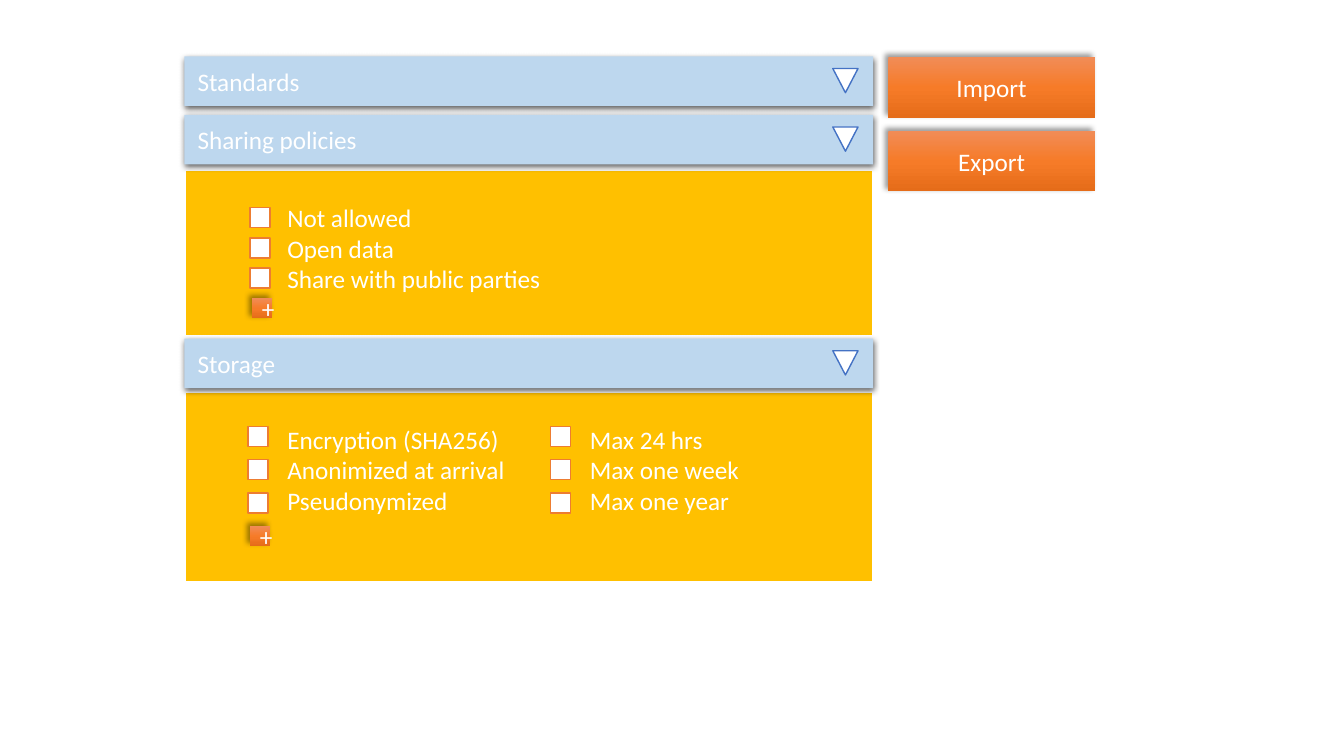
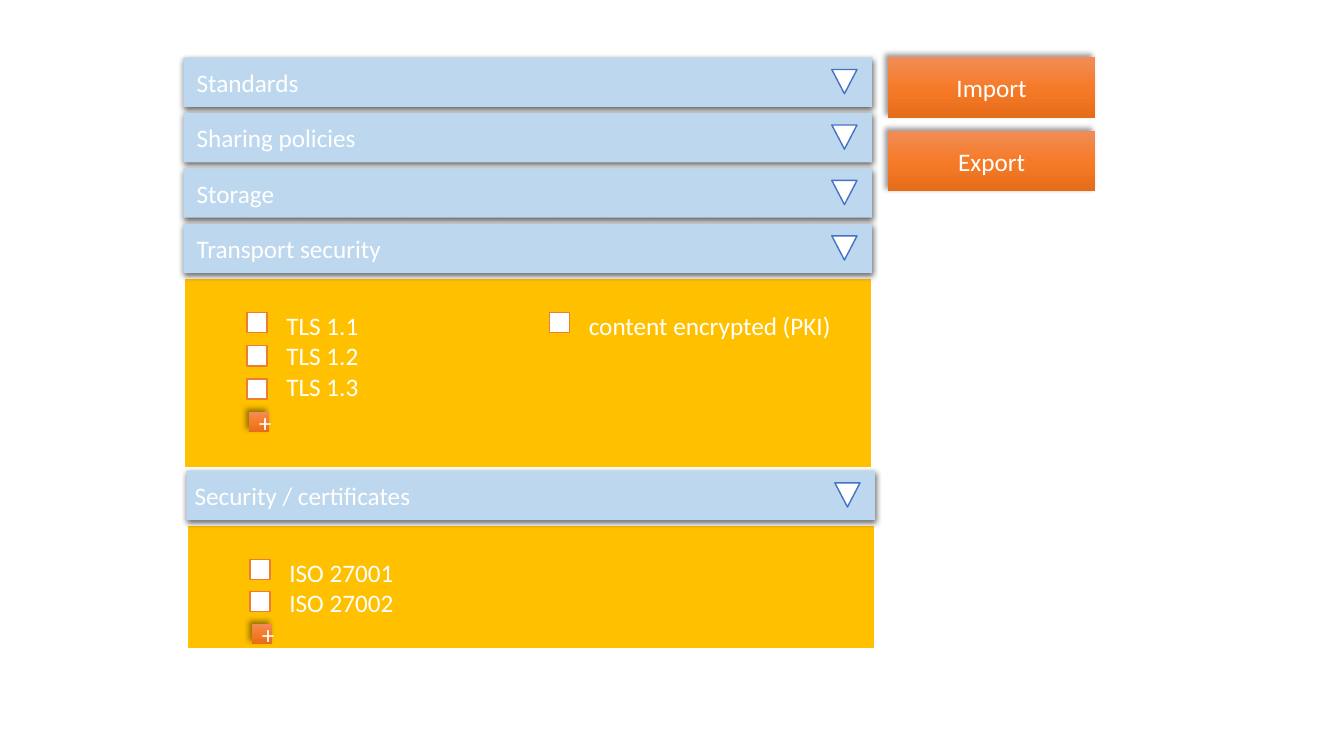
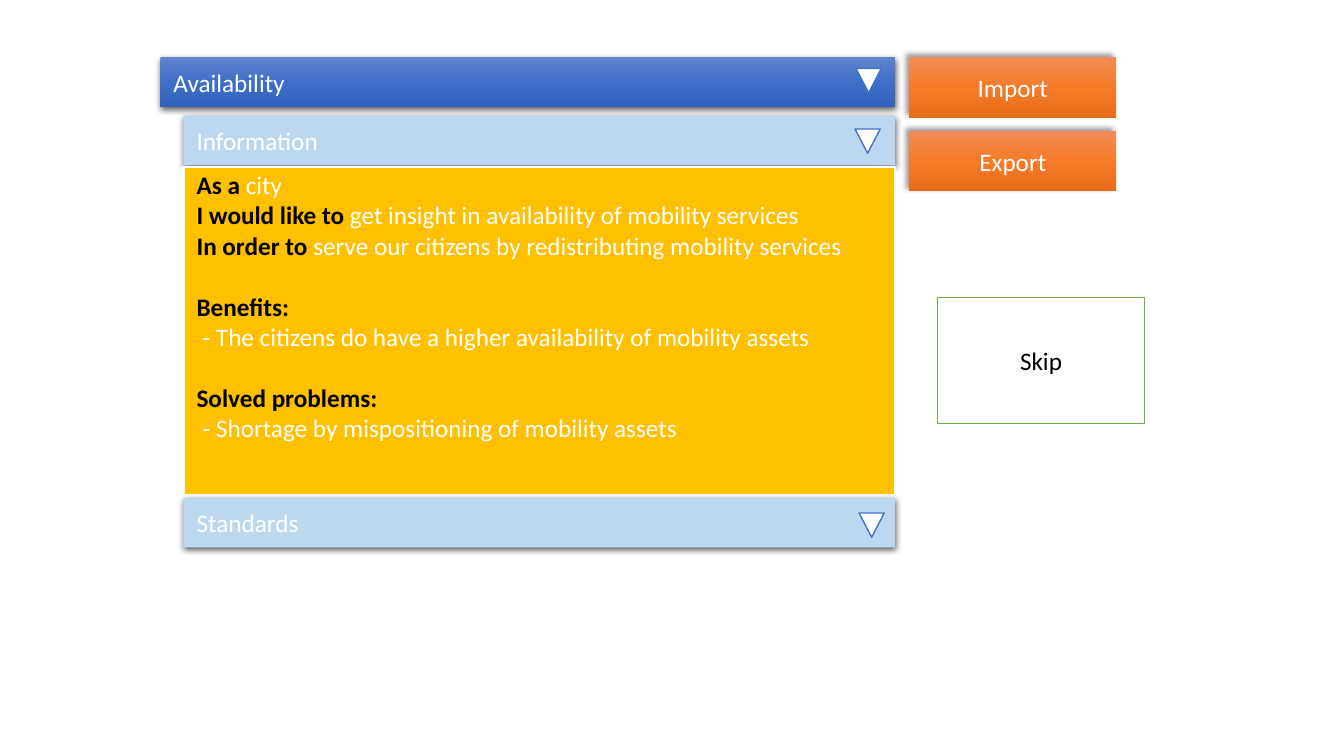
from lxml.etree import SubElement
from pptx import Presentation
from pptx.dml.color import RGBColor
from pptx.enum.shapes import MSO_SHAPE as Preset
from pptx.enum.text import MSO_ANCHOR as Anchor, PP_ALIGN as Align
from pptx.oxml.ns import qn
from pptx.util import Inches, Pt

# Shared style; the grid has cells of one inch
COLOURS = {
    "white": "FFFFFF", "black": "000000", "bar": "BDD7EE", "panel": "FFC000",
    "marker": "4472C4", "check": "ED7D31", "skip": "70AD47",
}
ORANGE = ("F18C57", "F67B28", "E56C19")
BLUE = ("6183CB", "3E70CA", "3062BB")
BUTTON_SHADOW = {"alpha": 40, "blur": 4, "dist": 3, "angle": 225}
BAR_SHADOW = {"alpha": 63, "blur": 4.5, "dist": 1.5, "angle": 90}
FONT, SIZE, LINE_HEIGHT = "Calibri", 18, 22
CELL = Inches(1)
BAR_COLS, BAR_ROWS = 6.83, 0.49
BOX = 0.2
TEXT_COL, SECOND_COL = 1, 4
INSET, LABEL_INSET = 0.02, 0.13


def rgb(name):
    return RGBColor.from_string(COLOURS[name])


def draw(slide, preset, col, row, cols, rows, fill, line=None, weight=1):
    """Place a preset shape; a tuple as fill gives a vertical gradient."""
    shape = slide.shapes.add_shape(
        preset, *(round(cells * CELL) for cells in (col, row, cols, rows)))
    shape.shadow.inherit = False
    if isinstance(fill, tuple):
        shape.fill.gradient()
        shape.fill.gradient_angle = 270
        stops = shape._element.spPr.find(qn("a:gradFill")).find(qn("a:gsLst"))
        stops.clear()
        for share, colour in zip((0, 50, 100), fill):
            stop = SubElement(stops, qn("a:gs"), pos=str(share * 1000))
            SubElement(stop, qn("a:srgbClr"), val=colour)
    else:
        shape.fill.solid()
        shape.fill.fore_color.rgb = rgb(fill)
    if line:
        shape.line.color.rgb = rgb(line)
        shape.line.width = Pt(weight)
    else:
        shape.line.fill.background()
    return shape


def cast_shadow(shape, alpha, blur, dist, angle):
    effects = shape._element.spPr.find(qn("a:effectLst"))
    shadow = SubElement(
        effects, qn("a:outerShdw"), blurRad=str(Pt(blur)), dist=str(Pt(dist)),
        dir=str(angle * 60000), algn="ctr", rotWithShape="0")
    colour = SubElement(shadow, qn("a:srgbClr"), val=COLOURS["black"])
    SubElement(colour, qn("a:alpha"), val=str(alpha * 1000))


def style(paragraph, align, colour="white"):
    paragraph.alignment = align
    for run in paragraph.runs:
        run.font.name, run.font.size = FONT, Pt(SIZE)
        run.font.color.rgb = rgb(colour)


def inset(frame, left=INSET, top=INSET):
    frame.margin_left, frame.margin_top = Inches(left), Inches(top)
    frame.margin_right = frame.margin_bottom = Inches(INSET)


def label(shape, text, align=Align.CENTER, colour="white"):
    frame = shape.text_frame
    frame.text = text
    frame.vertical_anchor = Anchor.MIDDLE
    style(frame.paragraphs[0], align, colour)


def button(slide, text, col, row, cols=2.05, rows=0.6):
    shape = draw(slide, Preset.RECTANGLE, col, row, cols, rows, ORANGE)
    cast_shadow(shape, **BUTTON_SHADOW)
    label(shape, text)


def file_buttons(slide, col):
    for text, row in (("Export", 1.3), ("Import", 0.57)):
        button(slide, text, col, row)


def bar(slide, text, col, row, cols=BAR_COLS, fill="bar",
        text_inset=LABEL_INSET, marker=(0.4, 0.12)):
    """Section heading with a fold marker near its right end."""
    heading = draw(slide, Preset.RECTANGLE, col, row, cols, BAR_ROWS, fill)
    cast_shadow(heading, **BAR_SHADOW)
    inset(heading.text_frame, left=text_inset)
    label(heading, text, Align.LEFT)
    from_right, down = marker
    fold = draw(slide, Preset.ISOSCELES_TRIANGLE, col + cols - from_right,
                row + down, 0.25, 0.24, "white", "marker")
    fold.rotation = 180


def panel(slide, col, row, cols, rows, **insets):
    body = draw(slide, Preset.RECTANGLE, col, row, cols, rows,
                "panel", "white", 1.5)
    inset(body.text_frame, **insets)
    body.text_frame.vertical_anchor = Anchor.TOP
    return body.text_frame


def set_tabs(paragraph, *stops):
    tabs = SubElement(paragraph._p.get_or_add_pPr(), qn("a:tabLst"))
    for stop in stops:
        SubElement(tabs, qn("a:tab"), pos=str(Inches(stop)), algn="l")


def option_panel(slide, col, row, rows, options,
                 box_col=0.63, first=0.34, pitch=0.33):
    """Panel of check boxes, closed by a button that adds another."""
    frame = panel(slide, col, row, BAR_COLS, rows, top=0.32)
    frame.text = "\n".join("\t" + "\t".join(names) for names in options)
    for paragraph in frame.paragraphs:
        style(paragraph, Align.LEFT)
        set_tabs(paragraph, TEXT_COL, SECOND_COL)
    left, top = col + box_col, row + first
    for line, names in enumerate(options):
        for column in range(len(names)):
            draw(slide, Preset.RECTANGLE,
                 left + column * (SECOND_COL - TEXT_COL), top + line * pitch,
                 BOX, BOX, "white", "check")
    button(slide, "+", left + 0.02, top + len(options) * pitch, BOX, BOX)


def story_panel(slide, col, row, cols, rows, story):
    """Panel of lines, each a bold lead and plain text."""
    frame = panel(slide, col, row, cols, rows, left=LABEL_INSET)
    for index, (lead, text, lines_before) in enumerate(story):
        paragraph = frame.add_paragraph() if index else frame.paragraphs[0]
        paragraph.space_before = Pt(lines_before * LINE_HEIGHT)
        if not lead:
            paragraph._p.get_or_add_pPr().set("marL", str(Inches(0.06)))
        for words in filter(None, (lead, text)):
            paragraph.add_run().text = words
        style(paragraph, Align.LEFT)
        if lead:
            paragraph.runs[0].font.bold = True
            paragraph.runs[0].font.color.rgb = rgb("black")


def sharing_and_storage(slide):
    col = 1.83
    file_buttons(slide, 8.81)
    option_panel(slide, col, 1.69, 1.64,
                 [("Not allowed",), ("Open data",),
                  ("Share with public parties",)],
                 box_col=0.65, first=0.37, pitch=0.3)
    option_panel(slide, col, 3.89, 1.88,
                 [("Encryption (SHA256)", "Max 24 hrs"),
                  ("Anonimized at arrival", "Max one week"),
                  ("Pseudonymized", "Max one year")])
    for text, row in (("Standards", 0.56), ("Sharing policies", 1.14),
                      ("Storage", 3.36)):
        bar(slide, text, col, row)


def transport_and_certificates(slide):
    col, lower_col = 1.82, 1.85
    file_buttons(slide, 8.81)
    option_panel(slide, col, 2.76, 1.88,
                 [("TLS 1.1", "content encrypted (PKI)"),
                  ("TLS 1.2",), ("TLS 1.3",)])
    headings = ("Standards", "Sharing policies", "Storage",
                "Transport security")
    for index, text in enumerate(headings):
        bar(slide, text, col, 0.57 + index * 0.55)
    option_panel(slide, lower_col, 5.21, 1.23,
                 [("ISO 27001",), ("ISO 27002",)], pitch=0.32)
    bar(slide, "Security / certificates", lower_col, 4.67, text_inset=0.08)


def availability(slide):
    col, cols = 1.82, 7.06
    bar(slide, "Availability", 1.59, 0.57, 7.29, BLUE, marker=(0.39, 0.11))
    bar(slide, "Information", col, 1.15, cols, marker=(0.4, 0.13))
    story_panel(slide, col, 1.66, cols, 3.25, [
        ("As a ", "city", 0),
        ("I would like to ",
         "get insight in availability of mobility services", 0),
        ("In order to ",
         "serve our citizens by redistributing mobility services", 0),
        ("Benefits:", "", 1),
        ("", "- The citizens do have a higher availability of mobility assets",
         0),
        ("Solved problems:", "", 1),
        ("", "- Shortage by mispositioning of mobility assets", 0),
    ])
    bar(slide, "Standards", col, 4.94, cols, marker=(0.36, 0.15))
    file_buttons(slide, 9.02)
    skip = draw(slide, Preset.RECTANGLE, 9.3, 2.95, 2.05, 1.25,
                "white", "skip")
    label(skip, "Skip", colour="black")


def main():
    deck = Presentation()
    deck.slide_width, deck.slide_height = Inches(13.33), Inches(7.5)
    blank = deck.slide_layouts[6]
    for build in (sharing_and_storage, transport_and_certificates,
                  availability):
        build(deck.slides.add_slide(blank))
    deck.save("out.pptx")


main()
